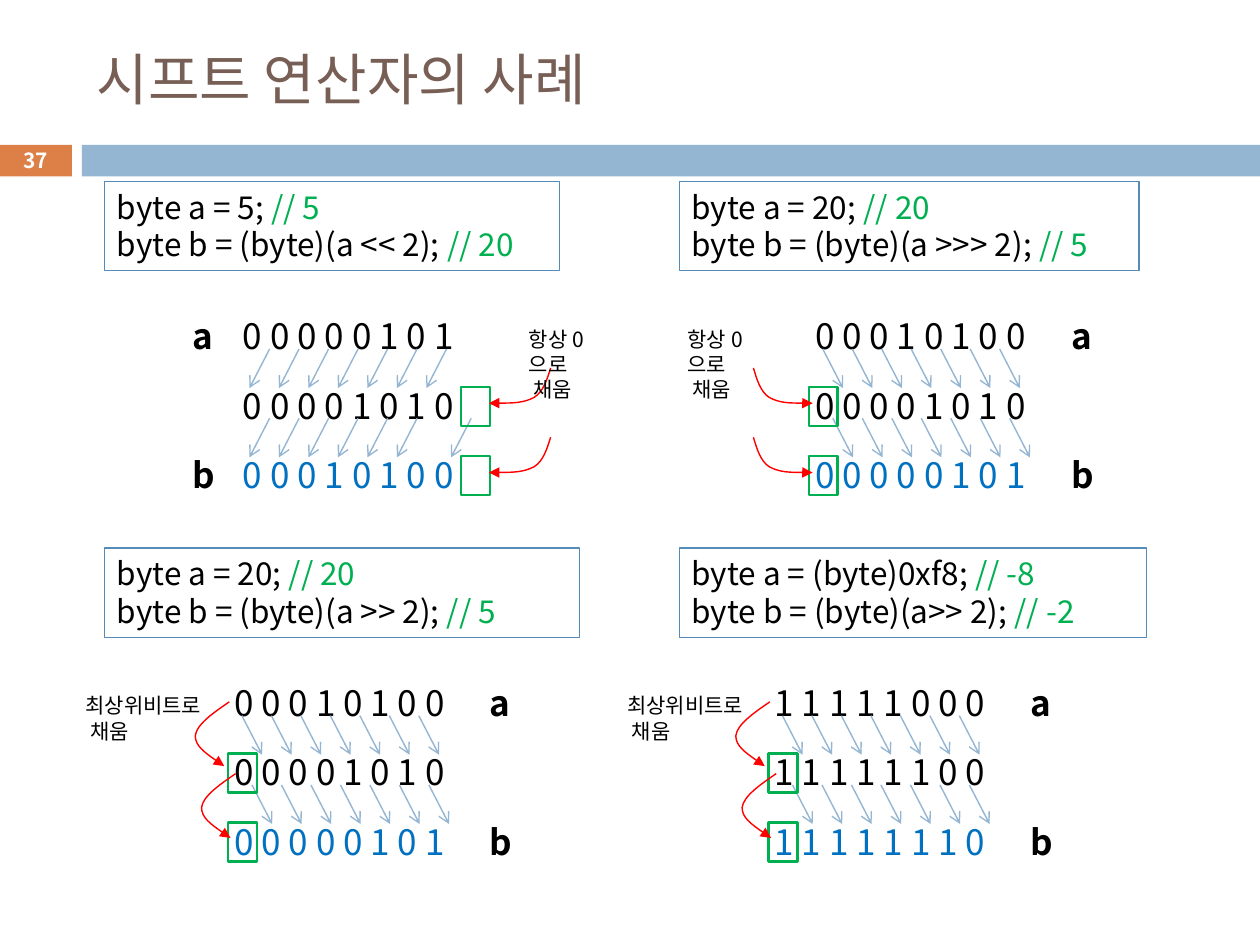
from pptx import Presentation
from pptx.dml.color import RGBColor
from pptx.enum.shapes import MSO_CONNECTOR, MSO_SHAPE
from pptx.enum.text import MSO_ANCHOR, MSO_AUTO_SIZE, PP_ALIGN
from pptx.oxml.ns import qn
from pptx.util import Inches, Pt
from lxml.etree import SubElement

FONT = "Noto Sans CJK KR"
COLORS = {
    "title": "775F55", "number": "DD8047", "band": "94B6D2", "code_line": "558BB8",
    "text": "000000", "comment": "00B050", "result": "0070C0", "curve": "FF0000",
    "white": "FFFFFF",
}
ROW_STEP = 0.55
BIT_STEP = 0.234
ZERO_CURVE = [(0, 0), (0.06, 0.34), (0.12, 0.68), (0.27, 0.84), (0.45, 1), (0.71, 1), (1, 1)]
SIGN_CURVE = [(0, 0), (-0.13, 0.09), (-0.26, 0.18), (-0.27, 0.27), (-0.27, 0.35),
              (-0.16, 0.43), (-0.04, 0.51)]


def color(name):
    """Return the named colour."""
    return RGBColor.from_string(COLORS[name])


def write(shape, lines, size, bold=False, align=PP_ALIGN.LEFT, anchor=MSO_ANCHOR.TOP, wrap=True):
    """Fill a shape with lines, each a list of (text, colour name) runs."""
    frame = shape.text_frame
    frame.word_wrap = wrap
    if not wrap:
        frame.auto_size = MSO_AUTO_SIZE.SHAPE_TO_FIT_TEXT
    frame.vertical_anchor = anchor
    for index, runs in enumerate(lines):
        paragraph = frame.paragraphs[0] if index == 0 else frame.add_paragraph()
        paragraph.alignment = align
        for text, color_name in runs:
            run = paragraph.add_run()
            run.text = text
            run.font.name = FONT
            run.font.size = Pt(size)
            run.font.bold = bold
            run.font.color.rgb = color(color_name)
            SubElement(run.font._element, qn("a:ea"), typeface=FONT)


def add_text(slide, box, lines, size, **options):
    """Add a text box at box and return it."""
    shape = slide.shapes.add_textbox(*map(Inches, box))
    write(shape, lines, size, **options)
    return shape


def add_rectangle(slide, box, fill=None, line=None, width=0.75):
    """Add a rectangle with an optional fill and outline."""
    shape = slide.shapes.add_shape(MSO_SHAPE.RECTANGLE, *map(Inches, box))
    shape.shadow.inherit = False
    if fill:
        shape.fill.solid()
        shape.fill.fore_color.rgb = color(fill)
    else:
        shape.fill.background()
    if line:
        shape.line.color.rgb = color(line)
        shape.line.width = Pt(width)
    else:
        shape.line.fill.background()
    return shape


def style_arrow(shape, color_name, head):
    """Colour a line and give its end an arrowhead."""
    shape.line.color.rgb = color(color_name)
    shape.line.width = Pt(0.79)
    SubElement(shape.line._get_or_add_ln(), qn("a:tailEnd"), type=head)


def add_shift_arrow(slide, left, top, shift):
    """Add a slanted arrow from one bit to its place in the next row."""
    arrow = slide.shapes.add_connector(
        MSO_CONNECTOR.STRAIGHT, Inches(left), Inches(top), Inches(left + shift), Inches(top + 0.31))
    style_arrow(arrow, "band", "arrow")
    SubElement(arrow._element.spPr, qn("a:effectLst"))


def round_segments(shape):
    """Turn each three straight segments of a freeform into one cubic curve."""
    outline = next(shape._element.iter(qn("a:path")))
    segments = outline.findall(qn("a:lnTo"))
    for first in range(0, len(segments), 3):
        cubic = SubElement(outline, qn("a:cubicBezTo"))
        for segment in segments[first:first + 3]:
            cubic.append(segment[0])
            outline.remove(segment)


def add_curve(slide, left, top, controls, width=1, height=1):
    """Add a red curved arrow starting at left, top."""
    points = [(Inches(left + x * width), Inches(top + y * height)) for x, y in controls]
    builder = slide.shapes.build_freeform(*points[0])
    builder.add_line_segments(points[1:], close=False)
    curve = builder.convert_to_shape()
    round_segments(curve)
    curve.shadow.inherit = False
    curve.fill.background()
    style_arrow(curve, "curve", "triangle")


def add_header(slide, title, number):
    """Add the title, the page number and the band below the title."""
    add_text(slide, (0.67, 0.25, 8.92, 0.74), [[(title, "title")]], 32, anchor=MSO_ANCHOR.MIDDLE)
    add_rectangle(slide, (0.65, 1.15, 9.35, 0.25), "band")
    add_rectangle(slide, (-0.01, 1.15, 0.58, 0.25), "number")
    add_text(slide, (-0.01, 1.14, 0.58, 0.27), [[(number, "white")]], 11.9, bold=True,
             align=PP_ALIGN.CENTER, anchor=MSO_ANCHOR.MIDDLE)


def add_code(slide, box, code):
    """Add a framed code sample of (statement, comment) lines."""
    frame = add_rectangle(slide, box, line="code_line")
    write(frame, [[(statement, "text"), (comment, "comment")] for statement, comment in code], 18)


def add_bits(slide, left, top, rows, label_left):
    """Add three rows of bits and the names of the first and last."""
    for index, bits in enumerate(rows):
        name = "result" if index == 2 else "text"
        add_text(slide, (left, top + index * ROW_STEP, 1.98, 0.44), [[(" ".join(bits), name)]],
                 20, wrap=False)
    for label, row in (("a", 0), ("b", 2)):
        add_text(slide, (left + label_left, top + row * ROW_STEP, 0.36, 0.44),
                 [[(label, "text")]], 20, bold=True, wrap=False)


def add_shifts(slide, left, top, starts, shift):
    """Add the slanted arrows below the first two rows."""
    for row, offsets in enumerate(starts):
        for offset in offsets:
            add_shift_arrow(slide, left + offset, top + 0.32 + row * ROW_STEP, shift)


def add_fill_marks(slide, left, top, box_left, note_left, note, zero_curve=None):
    """Add the green cells, the note and the red curves that feed the cells."""
    for row in (0, 1):
        drop = row * ROW_STEP
        add_rectangle(slide, (left + box_left, top + 0.62 + drop, 0.23, 0.31),
                      line="comment", width=1.5)
        if zero_curve:
            start, width = zero_curve
            add_curve(slide, left + start, top + 0.47 + drop, ZERO_CURVE, width, 0.28)
        else:
            add_curve(slide, left + 0.06 + row * 0.05, top + 0.21 + row * 0.57, SIGN_CURVE)
    shape = add_text(slide, (left + note_left, top + 0.09, 1.03 if zero_curve else 1.21, 0.5),
                     [[(line, "text")] for line in note], 12)
    if zero_curve:
        shape.text_frame.margin_right = Inches(0.35)


def add_example(slide, code_box, code, bits_left, rows, label_left, note_left, note,
                zero_curve=None, to_left=False):
    """Add one shift example: its code and, below it, its bit diagram."""
    top = code_box[1] + 1.01
    add_code(slide, code_box, code)
    add_bits(slide, bits_left, top, rows, label_left)
    first = (0.31, 0.31) if to_left else (0.16, 0.24)
    starts = [[start + index * BIT_STEP for index in range(7)] for start in first]
    if to_left:
        starts[1][-1] = 1.91
    add_shifts(slide, bits_left, top, starts, -0.16 if to_left else 0.16)
    add_fill_marks(slide, bits_left, top, 1.83 if to_left else 0.05, note_left, note, zero_curve)


def main():
    """Build and save the slide."""
    presentation = Presentation()
    presentation.slide_width, presentation.slide_height = Inches(10), Inches(7.5)
    slide = presentation.slides.add_slide(presentation.slide_layouts[6])
    zero_note, sign_note = ("항상 0으로", " 채움"), ("최상위비트로", " 채움")
    twenty_rows = ("00010100", "00001010", "00000101")
    add_header(slide, "시프트 연산자의 사례", "37")
    add_example(slide, (0.83, 1.44, 3.61, 0.71),
                [("byte a = 5; ", "// 5"), ("byte b = (byte)(a << 2); ", "// 20")],
                1.83, ("00000101", "00001010", "00010100"), -0.4, 2.27, zero_note,
                zero_curve=(2.54, -0.49), to_left=True)
    add_example(slide, (5.39, 1.44, 3.65, 0.71),
                [("byte a = 20;", " // 20"), ("byte b = (byte)(a >>> 2); ", "// 5")],
                6.37, twenty_rows, 2.04, -1.01, zero_note, zero_curve=(-0.39, 0.47))
    add_example(slide, (0.83, 4.35, 3.77, 0.71),
                [("byte a = 20; ", "// 20"), ("byte b = (byte)(a >> 2); ", "// 5")],
                1.76, twenty_rows, 2.03, -1.18, sign_note)
    add_example(slide, (5.39, 4.35, 3.71, 0.71),
                [("byte a = (byte)0xf8; ", "// -8"), ("byte b = (byte)(a>> 2); ", "// -2")],
                6.05, ("11111000", "11111100", "11111110"), 2.03, -1.17, sign_note)
    presentation.save("out.pptx")


if __name__ == "__main__":
    main()
